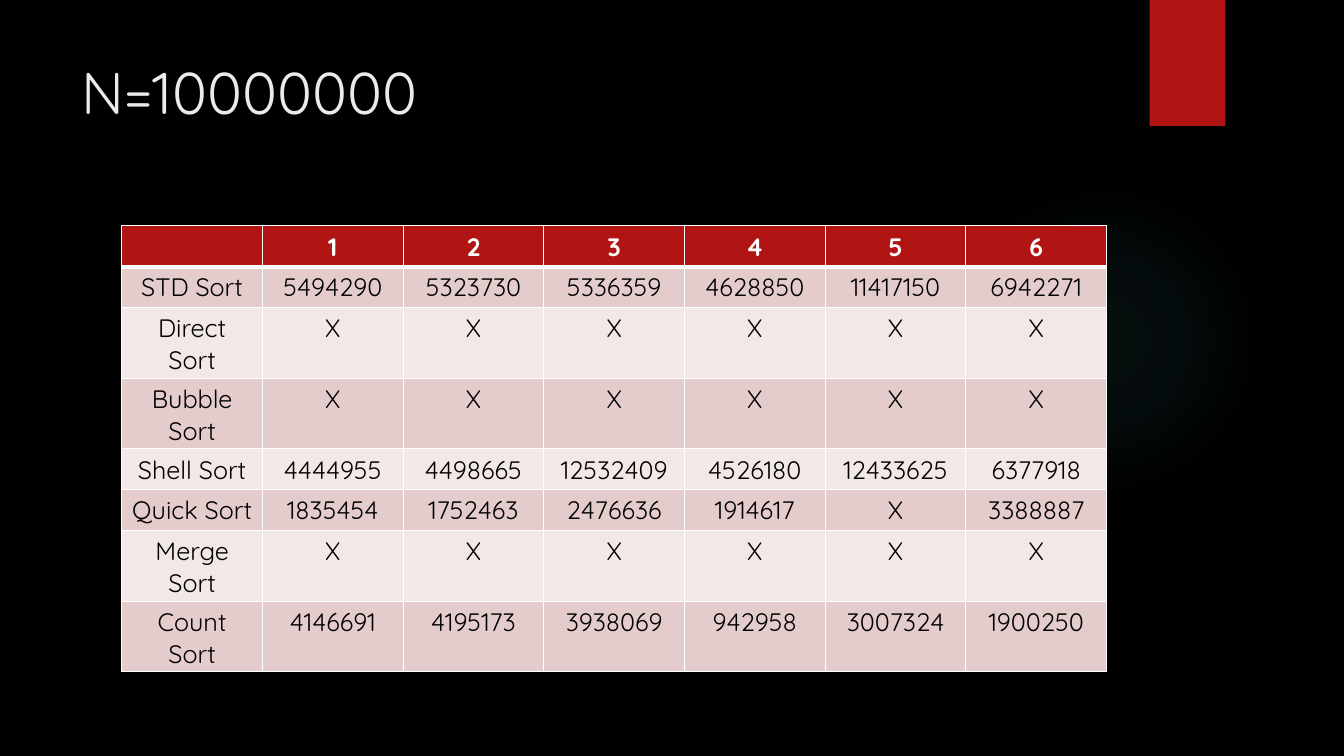
from lxml import etree
from pptx import Presentation
from pptx.dml.color import RGBColor
from pptx.enum.shapes import MSO_SHAPE
from pptx.enum.text import MSO_ANCHOR, PP_ALIGN
from pptx.oxml import parse_xml
from pptx.oxml.ns import qn
from pptx.util import Pt

PX = 9525  # EMU per px, 96 px to the inch
PAGE_SIZE = (1280, 720)
GLOW_BOX = (903, 176, 296, 296)
RIBBON_BOX = (1095, 0, 72, 120)
TITLE_BOX = (68, 48, 988, 147)
TABLE_BOX = (116, 215, 938, 312)

OVAL, RECTANGLE = MSO_SHAPE.OVAL, MSO_SHAPE.RECTANGLE
CENTER, TOP = PP_ALIGN.CENTER, MSO_ANCHOR.TOP

FONT = "Quicksand"
BLACK, WHITE, RED, TEAL = "000000", "FFFFFF", "B01513", "50B9C1"
BANDS = ("E4CCCC", "F2E8E7")
TITLE_FORMAT = {"name": FONT, "size": Pt(42)}
HEADER_FORMAT = {"name": FONT, "size": Pt(18), "bold": True}
BODY_FORMAT = {"name": FONT, "size": Pt(18), "bold": False}
GLOW_STOPS = ((0, 7), (36, 6), (69, 0))  # position %, opacity %

NO_RESULT = ["X"] * 6
ROWS = [
    ["", "1", "2", "3", "4", "5", "6"],
    ["STD Sort", "5494290", "5323730", "5336359", "4628850", "11417150", "6942271"],
    ["Direct Sort", *NO_RESULT],
    ["Bubble Sort", *NO_RESULT],
    ["Shell Sort", "4444955", "4498665", "12532409", "4526180", "12433625", "6377918"],
    ["Quick Sort", "1835454", "1752463", "2476636", "1914617", "X", "3388887"],
    ["Merge Sort", *NO_RESULT],
    ["Count Sort", "4146691", "4195173", "3938069", "942958", "3007324", "1900250"],
]


def scaled(box):
    return [length * PX for length in box]


def color(value):
    return RGBColor.from_string(value)


def paint(fill, value):
    fill.solid()
    fill.fore_color.rgb = color(value)


def write(para, text, text_format, value):
    span = para.add_run()
    span.text = text
    span.font.color.rgb = color(value)
    for name, setting in text_format.items():
        setattr(span.font, name, setting)


def add_plain_shape(page, kind, box, value):
    shape = page.shapes.add_shape(kind, *scaled(box))
    shape.shadow.inherit = False
    shape.line.fill.background()
    paint(shape.fill, value)
    return shape


def add_glow(page, box):
    glow = add_plain_shape(page, OVAL, box, TEAL)
    # Radial gradient that fades out
    stops = "".join(
        f'<a:gs pos="{position * 1000}"><a:srgbClr val="{TEAL}">'
        f'<a:alpha val="{opacity * 1000}"/></a:srgbClr></a:gs>'
        for position, opacity in GLOW_STOPS
    )
    gradient = parse_xml(
        '<a:gradFill xmlns:a="http://schemas.openxmlformats.org/drawingml/2006/main">'
        f'<a:gsLst>{stops}</a:gsLst><a:path path="circle">'
        '<a:fillToRect l="50000" t="50000" r="50000" b="50000"/></a:path></a:gradFill>'
    )
    properties = glow.element.spPr
    properties.replace(properties.find(qn("a:solidFill")), gradient)


def add_title(page, box, text):
    frame = page.shapes.add_textbox(*scaled(box)).text_frame
    frame.word_wrap = True
    frame.vertical_anchor = TOP
    write(frame.paragraphs[0], text, TITLE_FORMAT, "EBEBEB")


def add_borders(cell, widths):
    properties = cell._tc.get_or_add_tcPr()
    for index, (side, width) in enumerate(widths.items()):
        line = etree.Element(qn(f"a:ln{side}"), w=str(Pt(width)))
        fill = etree.SubElement(line, qn("a:solidFill"))
        etree.SubElement(fill, qn("a:srgbClr"), val=WHITE)
        properties.insert(index, line)


def add_timing_table(page, box, rows):
    column_count = len(rows[0])
    frame = page.shapes.add_table(len(rows), column_count, *scaled(box))
    table = frame.table
    for column in table.columns:
        column.width = box[2] * PX // column_count
    for row in table.rows:
        row.height = box[3] * PX // len(rows)

    for row_index, values in enumerate(rows):
        header = row_index == 0
        background = RED if header else BANDS[(row_index - 1) % 2]
        text_format = HEADER_FORMAT if header else BODY_FORMAT
        # The rule under the header is heavier
        widths = {"L": 1, "R": 1, "T": 3 if row_index == 1 else 1, "B": 3 if header else 1}
        for column_index, value in enumerate(values):
            cell = table.cell(row_index, column_index)
            paint(cell.fill, background)
            add_borders(cell, widths)
            para = cell.text_frame.paragraphs[0]
            para.alignment = CENTER
            if value:
                write(para, value, text_format, WHITE if header else BLACK)


def build_timing_page(deck):
    page = deck.slides.add_slide(deck.slide_layouts[6])
    paint(page.background.fill, BLACK)
    # Backdrop
    add_glow(page, GLOW_BOX)
    add_plain_shape(page, RECTANGLE, RIBBON_BOX, RED)
    # Content
    add_title(page, TITLE_BOX, "N=10000000")
    add_timing_table(page, TABLE_BOX, ROWS)


def main():
    deck = Presentation()
    deck.slide_width, deck.slide_height = scaled(PAGE_SIZE)
    build_timing_page(deck)
    deck.save("out.pptx")


if __name__ == "__main__":
    main()
